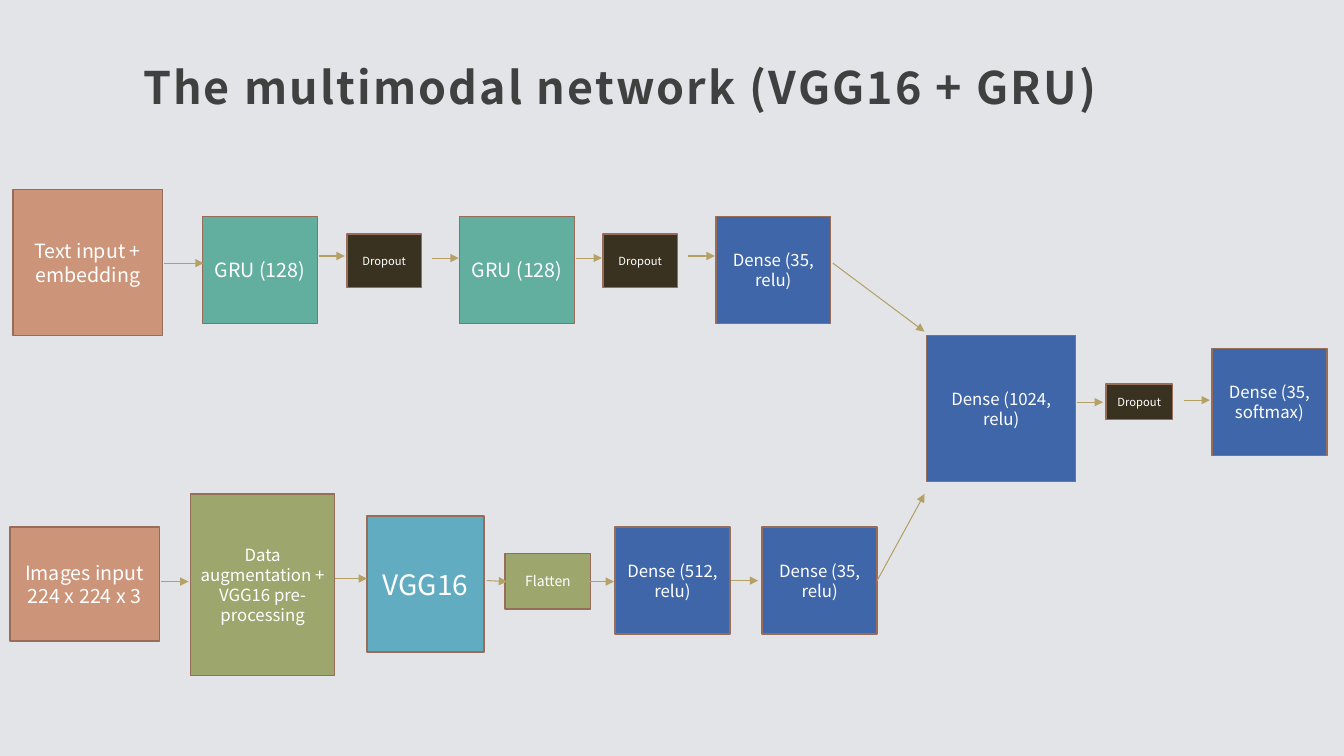
from lxml.etree import SubElement
from pptx import Presentation
from pptx.dml.color import RGBColor
from pptx.enum.shapes import MSO_CONNECTOR, MSO_SHAPE
from pptx.enum.text import MSO_ANCHOR, PP_ALIGN
from pptx.oxml.ns import qn
from pptx.util import Inches, Pt

FONT = "Noto Sans CJK JP"
TITLE = "The multimodal network (VGG16 + GRU)"
COLORS = {
    "back": "E2E4E8", "title": "404040", "text": "FFFFFF",
    "edge": "976D5A", "arrow": "B5A065", "input": "CC9479",
    "gru": "62AFA0", "drop": "393220", "dense": "4066AA",
    "prep": "9DA66D", "vgg": "62ACC1",
}
SIZES = {
    "input": (1.48, 1.45), "image": (1.48, 1.13), "layer": (1.14, 1.06),
    "drop": (0.74, 0.53), "small": (0.66, 0.35), "prep": (1.43, 1.8),
    "vgg": (1.16, 1.35), "flat": (0.85, 0.55),
}
BLOCKS = [
    ("Text input + embedding", "input", "input", 14, 0.13, 1.88),
    ("GRU (128)", "layer", "gru", 14, 2.01, 2.15),
    ("Dropout", "drop", "drop", 8, 3.44, 2.32),
    ("GRU (128)", "layer", "gru", 14, 4.56, 2.15),
    ("Dropout", "drop", "drop", 8, 5.98, 2.32),
    ("Dense (35, relu)", "layer", "dense", 12, 7.1, 2.15),
    ("Images input 224 x 224 x 3", "image", "input", 14, 0.1, 5.23),
    ("Data augmentation + VGG16 pre-processing", "prep", "prep", 12, 1.89, 4.9),
    ("VGG16", "vgg", "vgg", 20, 3.64, 5.12),
    ("Flatten", "flat", "prep", 10, 5.01, 5.49),
    ("Dense (512, relu)", "layer", "dense", 12, 6.1, 5.23),
    ("Dense (35, relu)", "layer", "dense", 12, 7.56, 5.23),
    ("Dense (1024, relu)", "input", "dense", 12, 9.19, 3.33),
    ("Dropout", "small", "drop", 8, 10.97, 3.81),
    ("Dense (35, softmax)", "layer", "dense", 12, 12.02, 3.46),
]
ARROWS = [
    (1.63, 2.61, 2.02, 2.61), (3.16, 2.54, 3.42, 2.54),
    (4.28, 2.56, 4.55, 2.56), (5.71, 2.56, 5.97, 2.56),
    (6.82, 2.54, 7.09, 2.54), (8.26, 2.61, 9.17, 3.29),
    (1.6, 5.77, 1.87, 5.77), (3.32, 5.74, 3.64, 5.74),
    (4.83, 5.76, 5.03, 5.77), (5.82, 5.77, 6.09, 5.77),
    (7.25, 5.76, 7.52, 5.76), (8.7, 5.76, 9.17, 4.9),
    (10.68, 3.99, 10.94, 3.99), (11.74, 3.97, 12, 3.97),
]


def color(name):
    return RGBColor.from_string(COLORS[name])


def write(frame, text, size, tint):
    frame.word_wrap = True
    frame.vertical_anchor = MSO_ANCHOR.MIDDLE
    frame.text = text
    para = frame.paragraphs[0]
    run = para.runs[0]
    run.font.name = FONT
    run.font.size = Pt(size)
    run.font.color.rgb = color(tint)
    return para, run


def add_title(slide):
    box = slide.shapes.add_textbox(
        Inches(1.3), Inches(0.18), Inches(10.73), Inches(1.17))
    frame = box.text_frame
    frame.margin_left = frame.margin_right = frame.margin_top = Inches(0.12)
    frame.margin_bottom = Inches(0.1)
    para, run = write(frame, TITLE, 32, "title")
    para.line_spacing = 1.3
    run.font.bold = True
    run.font._element.set("spc", "150")


def add_block(slide, text, kind, fill, size, left, top):
    wide, high = SIZES[kind]
    box = slide.shapes.add_shape(
        MSO_SHAPE.RECTANGLE, Inches(left), Inches(top), Inches(wide), Inches(high))
    box.shadow.inherit = False
    box.fill.solid()
    box.fill.fore_color.rgb = color(fill)
    box.line.color.rgb = color("edge")
    box.line.width = Pt(1)
    para, run = write(box.text_frame, text, size, "text")
    para.alignment = PP_ALIGN.CENTER


def add_arrow(slide, *ends):
    link = slide.shapes.add_connector(
        MSO_CONNECTOR.STRAIGHT, *[Inches(end) for end in ends])
    link.line.color.rgb = color("arrow")
    link.line.width = Pt(0.75)
    SubElement(link.line._get_or_add_ln(), qn("a:tailEnd"), type="triangle")
    SubElement(link._element.spPr, qn("a:effectLst"))


def main():
    deck = Presentation()
    deck.slide_width, deck.slide_height = Inches(13.33), Inches(7.5)
    slide = deck.slides.add_slide(deck.slide_layouts[6])
    slide.background.fill.solid()
    slide.background.fill.fore_color.rgb = color("back")
    add_title(slide)
    for block in BLOCKS:
        add_block(slide, *block)
    for arrow in ARROWS:
        add_arrow(slide, *arrow)
    deck.save("out.pptx")


if __name__ == "__main__":
    main()
